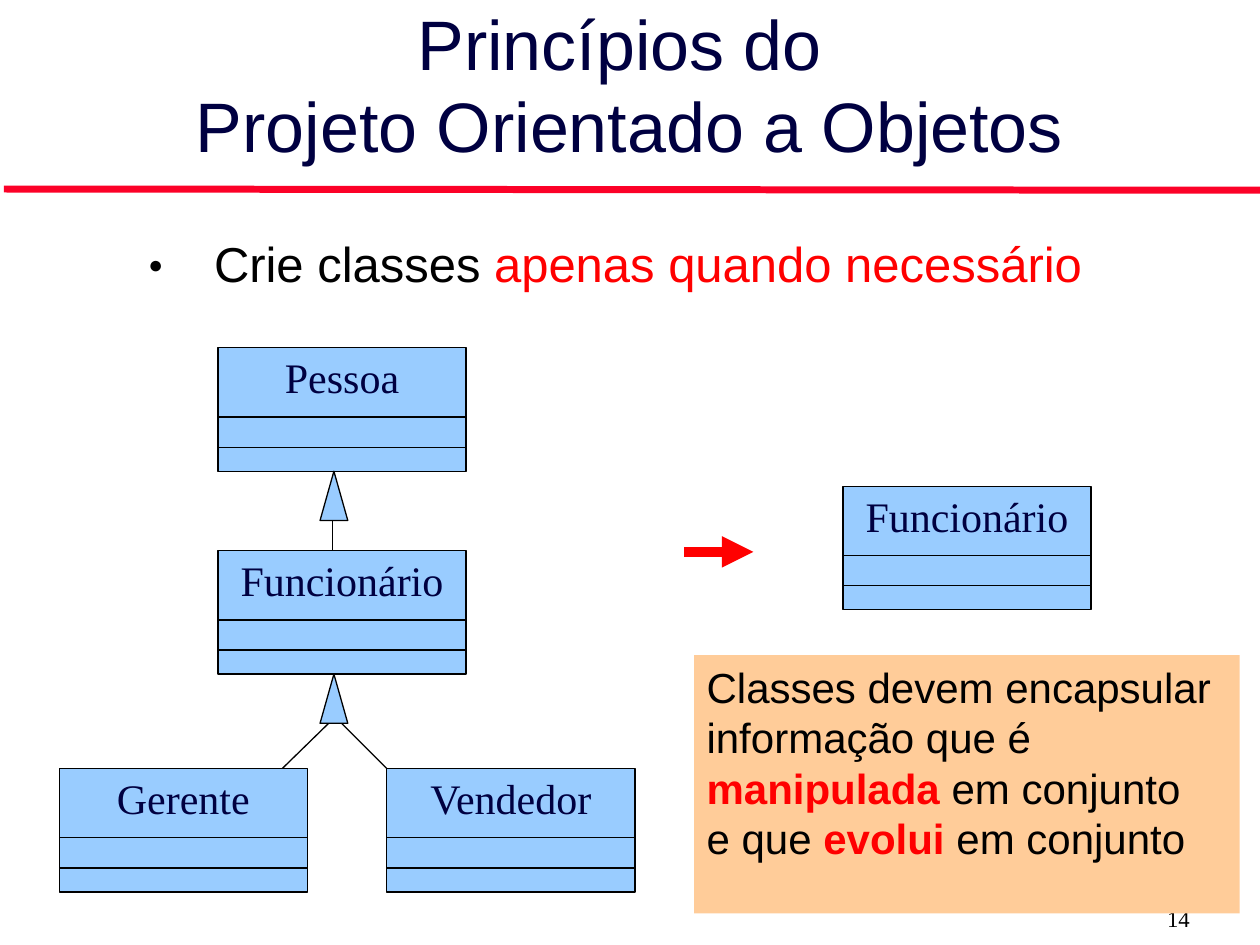
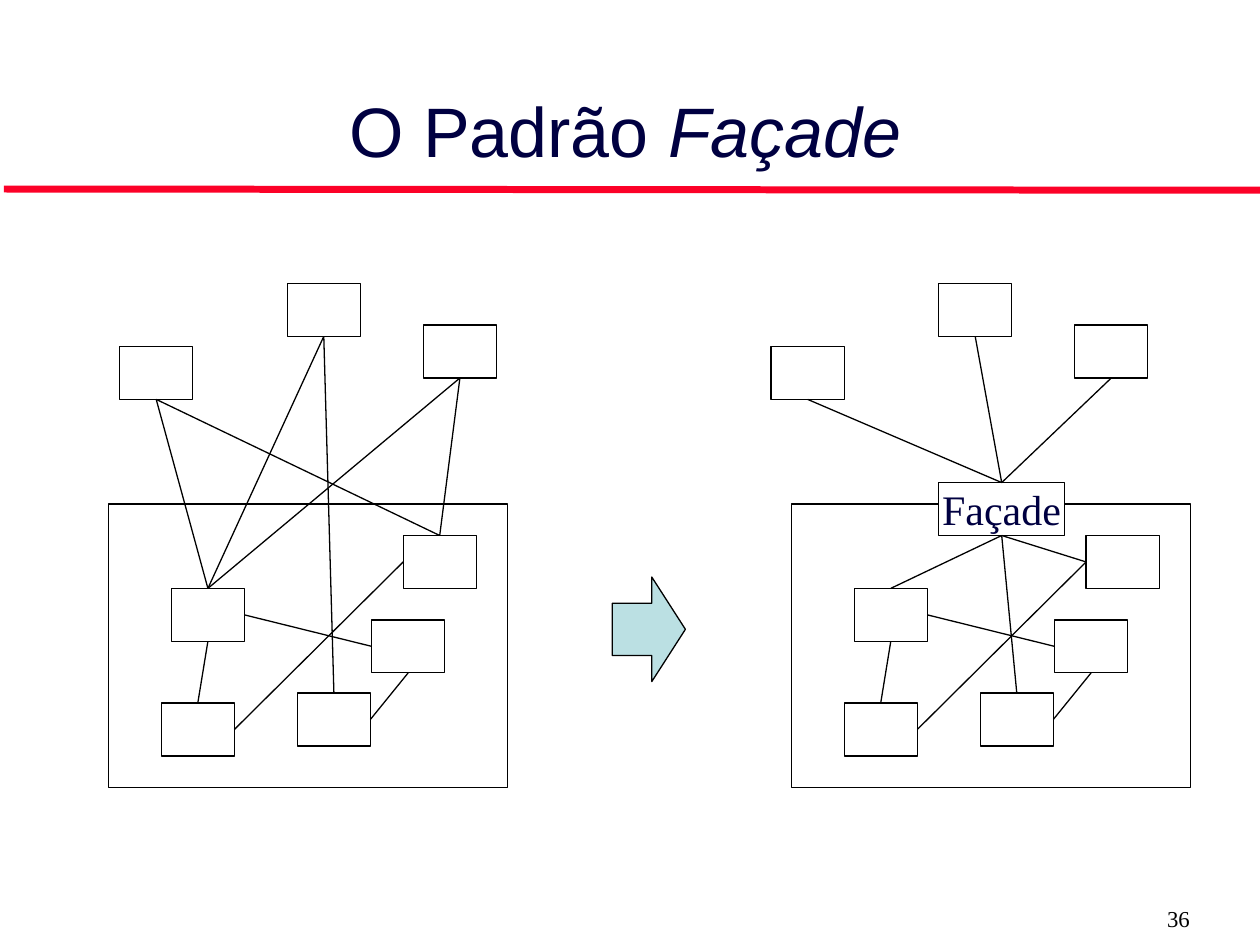
"""Build two slides on object-oriented design: class economy and the Façade pattern."""
from lxml import etree
from pptx import Presentation
from pptx.dml.color import RGBColor
from pptx.enum import shapes, text
from pptx.oxml import ns
from pptx.util import Inches, Pt


class Theme:
    white = RGBColor.from_string("FFFFFF")
    black = RGBColor.from_string("000000")
    navy = RGBColor.from_string("000041")
    red = RGBColor.from_string("FF0000")
    rule = RGBColor.from_string("FC0128")
    class_fill = RGBColor.from_string("99CCFF")
    note_fill = RGBColor.from_string("FFCC99")
    arrow_fill = RGBColor.from_string("BBE0E3")
    sans, serif = "Arial", "Times New Roman"
    title, body, label, number = Pt(40), Pt(28), Pt(24), Pt(13)
    thin = Pt(0.75)


RECT = shapes.MSO_SHAPE.RECTANGLE
CENTER, RIGHT = text.PP_ALIGN.CENTER, text.PP_ALIGN.RIGHT
TOP, MIDDLE, BOTTOM = text.MSO_ANCHOR.TOP, text.MSO_ANCHOR.MIDDLE, text.MSO_ANCHOR.BOTTOM


def add_box(page, area, kind=None, fill=None, outlined=True, lines=(), size=Theme.label,
            font=Theme.serif, color=Theme.navy, align=text.PP_ALIGN.LEFT, anchor=TOP,
            wrap=True, spacing=1.0):
    """Add a shape, or a text box if no kind is given, with lines of (words, marks) spans."""
    place = [Inches(value) for value in area]
    if kind is None:
        box = page.shapes.add_textbox(*place)
    else:
        box = page.shapes.add_shape(kind, *place)
        box.shadow.inherit = False
        box.fill.solid()
        box.fill.fore_color.rgb = fill
        if outlined:
            box.line.color.rgb = Theme.black
            box.line.width = Theme.thin
        else:
            box.line.fill.background()
    if lines:
        frame = box.text_frame
        frame.word_wrap = wrap
        frame.vertical_anchor = anchor
    for index, spans in enumerate(lines):
        para = frame.add_paragraph() if index else frame.paragraphs[0]
        para.alignment = align
        para.line_spacing = spacing
        para.font.size, para.font.name, para.font.color.rgb = size, font, color
        for words, marks in spans:
            if words == "\n":
                para.add_line_break()
                continue
            span = para.add_run()
            span.text = words
            if "red" in marks:
                span.font.color.rgb = Theme.red
            if "bold" in marks:
                span.font.bold = True
            if "italic" in marks:
                span.font.italic = True
    return box


def add_line(page, start=(0, 0), end=(0, 0), color=Theme.black, width=Theme.thin):
    """Add a straight connector without a shadow."""
    line = page.shapes.add_connector(
        shapes.MSO_CONNECTOR.STRAIGHT, *[Inches(value) for value in (*start, *end)])
    line.line.color.rgb = color
    line.line.width = width
    etree.SubElement(line._element.spPr, ns.qn("a:effectLst"))
    return line


deck = Presentation()
deck.slide_width, deck.slide_height = Inches(10), Inches(7.5)

pages = []
for number, title_area, title in [
    ("14", (0.73, -0.04, 8.53, 1.43),
     [("Princípios do ", ""), ("\n", ""), ("Projeto Orientado a Objetos", "")]),
    ("36", (0.2, 0, 9.53, 1.43), [("O Padrão ", ""), ("Façade", "italic")]),
]:
    page = deck.slides.add_slide(deck.slide_layouts[6])
    add_line(page, (0.03, 1.5), (10, 1.51), Theme.rule, Pt(4))
    add_box(page, (0.62, 7.13, 8.92, 0.32), lines=[[(number, "")]], size=Theme.number,
            color=Theme.black, align=RIGHT)
    add_box(page, title_area, lines=[title], size=Theme.title, font=Theme.sans,
            align=CENTER, anchor=BOTTOM, spacing=0.98)
    pages.append(page)
classes_page, facade_page = pages

advice = add_box(classes_page, (1.08, 1.83, 8.72, 5.07), size=Theme.body, font=Theme.sans,
                 color=Theme.black, spacing=0.98,
                 lines=[[("Crie classes ", ""), ("apenas quando necessário", "red")]])
properties = advice.text_frame.paragraphs[0]._p.get_or_add_pPr()
properties.set("marL", str(Inches(0.52)))
properties.set("indent", str(-Inches(0.52)))
defaults = properties.find(ns.qn("a:defRPr"))
for tag, name, value in [("a:buSzPct", "val", "50000"), ("a:buFont", "typeface", Theme.sans),
                         ("a:buChar", "char", "●")]:
    bullet = etree.Element(ns.qn(tag))
    bullet.set(name, value)
    defaults.addprevious(bullet)

arrow = add_line(classes_page, (5.43, 4.38), (5.98, 4.38), Theme.red, Pt(6))
etree.SubElement(arrow.line._get_or_add_ln(), ns.qn("a:tailEnd")).set("type", "triangle")

add_box(classes_page, (5.51, 5.2, 4.33, 2.05), RECT, Theme.note_fill, outlined=False,
        font=Theme.sans, color=Theme.black, lines=[
            [("Classes devem encapsular", "")],
            [("informação que é ", ""), ("manipulada ", "red bold"), ("em conjunto", "")],
            [("e que ", ""), ("evolui", "red bold"), (" em conjunto", "")]])

for start, end in [((2.64, 4.06), (2.64, 4.45)), ((2.64, 5.71), (2.24, 6.1)),
                   ((2.68, 5.71), (3.07, 6.1))]:
    add_line(classes_page, start, end)

class_height = 0.98
for name, left, top in [("Funcionário", 6.69, 3.86), ("Vendedor", 3.07, 6.1),
                        ("Gerente", 0.47, 6.1), ("Funcionário", 1.73, 4.37),
                        ("Pessoa", 1.73, 2.76)]:
    add_box(classes_page, (left, top, 1.97, class_height), RECT, Theme.class_fill,
            lines=[[(name, "")]], align=CENTER, wrap=False, spacing=0.98)
    add_box(classes_page, (left, top + 0.55, 1.97, 0.24), RECT, Theme.class_fill)

for parent_top in (2.76, 4.37):
    add_box(classes_page, (2.54, parent_top + class_height, 0.22, 0.39),
            shapes.MSO_SHAPE.ISOSCELES_TRIANGLE, Theme.class_fill)

top_side, left_side, bottom_side, right_side = range(4)
clients = {"client 1": (0.95, 2.75), "client 2": (2.28, 2.25), "client 3": (3.36, 2.58)}
parts = {"part 1": (1.28, 5.58), "part 2": (2.36, 5.5), "part 3": (1.36, 4.67),
         "part 4": (2.95, 4.92), "part 5": (3.2, 4.25)}
inner_links = [
    ("part 1", top_side, "part 3", bottom_side),
    ("part 1", right_side, "part 5", left_side),
    ("part 2", right_side, "part 4", bottom_side),
    ("part 4", left_side, "part 3", right_side),
]
direct_links = [(client, bottom_side, part, top_side) for client, part in [
    ("client 1", "part 3"), ("client 1", "part 5"), ("client 3", "part 5"),
    ("client 3", "part 3"), ("client 2", "part 3"), ("client 2", "part 2")]]
facade_links = [("facade", top_side, client, bottom_side) for client in clients] + [
    ("facade", bottom_side, "part 3", top_side),
    ("facade", bottom_side, "part 2", top_side),
    ("facade", bottom_side, "part 5", left_side),
]

for client_shift, part_shift, outer_links in [(0, 0, direct_links), (5.17, 5.42, facade_links)]:
    add_box(facade_page, (0.86 + part_shift, 4, 3.17, 2.25), RECT, Theme.white)
    boxes = {}
    for group, shift in [(clients, client_shift), (parts, part_shift)]:
        for name, (left, top) in group.items():
            boxes[name] = add_box(facade_page, (left + shift, top, 0.58, 0.42), RECT, Theme.white)
    if outer_links is facade_links:
        boxes["facade"] = add_box(facade_page, (7.45, 3.83, 1, 0.42), RECT, Theme.white,
                                  lines=[[("Façade", "")]], align=CENTER, anchor=MIDDLE,
                                  wrap=False)
    for source, source_side, target, target_side in inner_links + outer_links:
        link = add_line(facade_page)
        link.begin_connect(boxes[source], source_side)
        link.end_connect(boxes[target], target_side)

block_arrow = add_box(facade_page, (4.86, 4.58, 0.58, 0.83), shapes.MSO_SHAPE.RIGHT_ARROW,
                      Theme.arrow_fill)
block_arrow.adjustments[1] = 0.46

deck.save("out.pptx")
